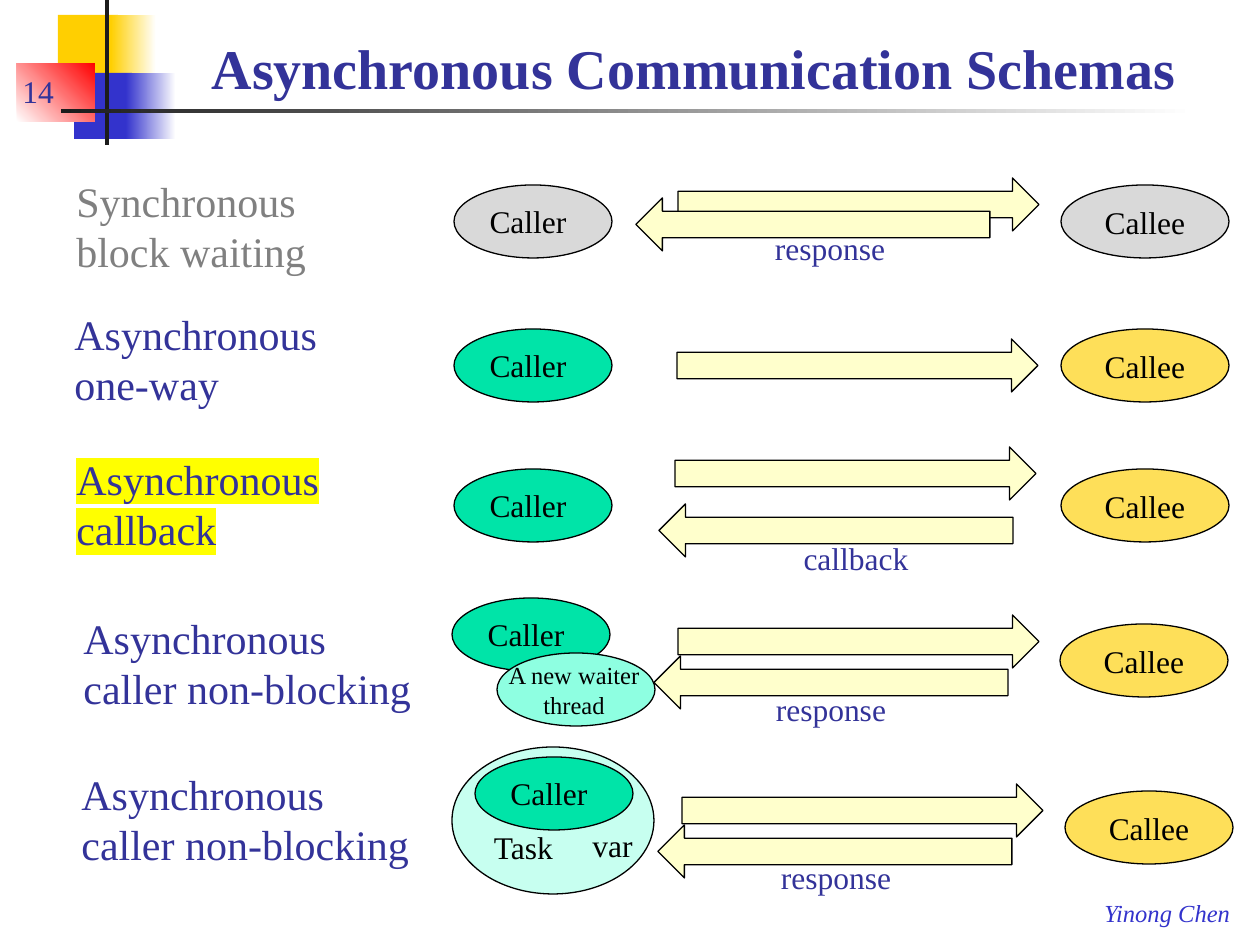
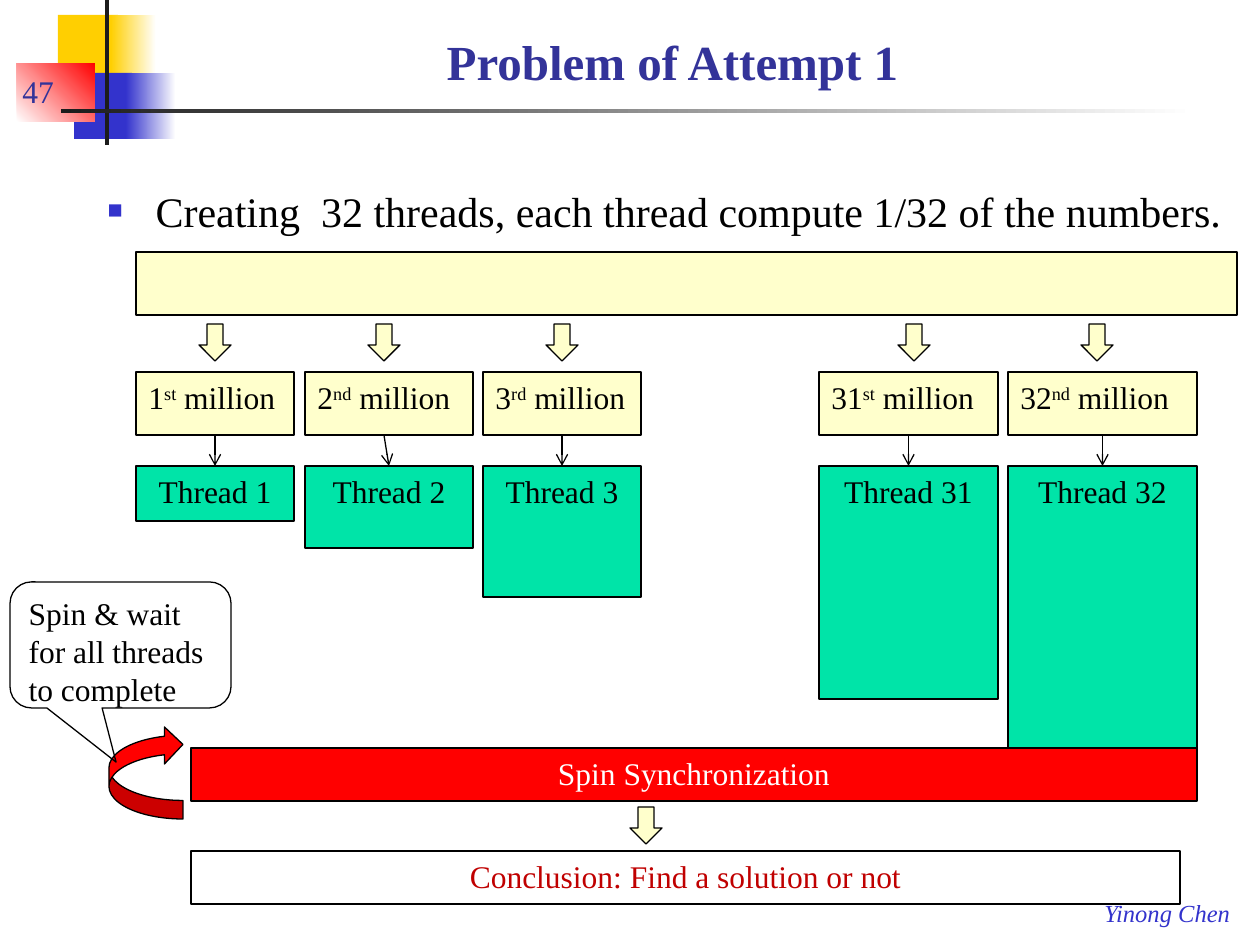
from lxml import etree
from pptx import Presentation
from pptx.dml.color import RGBColor
from pptx.enum import shapes, text
from pptx.oxml.ns import qn
from pptx.util import Emu, Pt

PX = 914400 / 126
FONT = "Times New Roman"
BLACK, WHITE, INK = "000000", "FFFFFF", "1C1C1C"
NAVY, BLUE, GOLD, RED = "333399", "3333CC", "FFCF01", "FF0000"
CREAM, GREEN, AMBER, GRAY = "FFFFCC", "00E4A8", "FEDF59", "D9D9D9"
SHAPE, ALIGN, ANCHOR = shapes.MSO_SHAPE, text.PP_ALIGN, text.MSO_ANCHOR


def px(n):
    return Emu(round(n * PX))


def rgb(color):
    return RGBColor.from_string(color)


def place(sp, box):
    sp.left, sp.top, sp.width, sp.height = map(px, box)


def write(sp, content, size=18, color=BLACK, bold=False, italic=False,
          align=ALIGN.LEFT, anchor=ANCHOR.TOP, wrap=True, highlight=None):
    """Fill a shape with one paragraph; content is a string or (text, baseline) runs."""
    tf = sp.text_frame
    tf.word_wrap, tf.auto_size, tf.vertical_anchor = wrap, text.MSO_AUTO_SIZE.NONE, anchor
    p = tf.paragraphs[0]
    p.alignment = align
    p.space_before = Pt(0)
    for words, baseline in [(content, 0)] if isinstance(content, str) else content:
        r = p.add_run()
        r.text = words
        r.font.name, r.font.size = FONT, Pt(size)
        r.font.bold, r.font.italic = bold, italic
        r.font.color.rgb = rgb(color)
        rPr = r.font._element
        if baseline:
            rPr.set("baseline", str(baseline * 1000))
        if highlight:
            mark = etree.Element(qn("a:highlight"))
            etree.SubElement(mark, qn("a:srgbClr"), val=highlight)
            rPr.find(qn("a:solidFill")).addnext(mark)
    return p


def add_text(s, box, content, **fmt):
    sp = s.shapes.add_textbox(*map(px, box))
    write(sp, content, **fmt)


def add_shape(s, kind, box, fill=None, line=BLACK, content=None, flip=None, adj=(), **fmt):
    """Add a preset shape; a pair of fill colours makes a gradient."""
    sp = s.shapes.add_shape(kind, *map(px, box))
    sp.shadow.inherit = False
    for i, value in enumerate(adj):
        sp.adjustments[i] = value
    if fill is None:
        sp.fill.background()
    elif isinstance(fill, tuple):
        sp.fill.gradient()
        sp.fill.gradient_angle = 0
        for stop, color in zip(sp.fill.gradient_stops, fill):
            stop.color.rgb = rgb(color)
    else:
        sp.fill.solid()
        sp.fill.fore_color.rgb = rgb(fill)
    if line:
        sp.line.color.rgb = rgb(line)
        sp.line.width = Pt(0.75)
    else:
        sp.line.fill.background()
    if flip:
        sp._element.spPr.get_or_add_xfrm().set("flip" + flip, "1")
    if content:
        write(sp, content, **fmt)
    return sp


def add_arrow_line(s, start, end, lead):
    """Arrow from the bottom of start to the top of end; lead shifts its start sideways."""
    c = s.shapes.add_connector(shapes.MSO_CONNECTOR.STRAIGHT,
                               start.left + start.width // 2 + px(lead),
                               start.top + start.height, end.left, end.top)
    if not lead:
        c.begin_connect(start, 2)
    c.end_connect(end, 0)
    c.line.color.rgb = rgb(BLACK)
    c.line.width = Pt(0.75)
    etree.SubElement(c.line._get_or_add_ln(), qn("a:tailEnd"), type="arrow")
    etree.SubElement(c._element.spPr, qn("a:effectLst"))


def frame(prs, layout, title, title_box, number, **fmt):
    """Start a slide with the shared ornament, footer, title and slide number."""
    s = prs.slides.add_slide(prs.slide_layouts[layout])
    ornament = [
        ((58, 15, 60, 66), GOLD), ((111, 15, 45, 66), (GOLD, WHITE)),
        ((74, 73, 58, 66), BLUE), ((126, 73, 50, 66), (BLUE, WHITE)),
        ((17, 63, 78, 59), (WHITE, RED)),
        ((105, 0, 4, 145), INK), ((61, 109, 1134, 4), (INK, WHITE)),
    ]
    for box, fill in ornament:
        sp = add_shape(s, SHAPE.RECTANGLE, box, fill, None)
        if fill == (WHITE, RED):
            sp.fill.gradient_angle = 45
    add_text(s, (1092, 892, 151, 43), "Yinong Chen", size=14, color=BLUE,
             italic=True, wrap=False)
    place(s.shapes.title, title_box)
    write(s.shapes.title, title, color=NAVY, bold=True, anchor=ANCHOR.BOTTOM, **fmt)
    add_text(s, (10, 53, 107, 63), number, color=NAVY, anchor=ANCHOR.BOTTOM)
    return s


def schema_row(s, y, label, label_at, caller_at, request_at, callee_x, reply=None,
               reply_at=None, reply_word_at=None, label_w=289, label_color=NAVY,
               caller_fill=GREEN, callee_fill=AMBER, highlight=None):
    """One scheme; y is the top of the callee and the other heights count from it."""
    def box(at, w, h):
        return at[0], y + at[1], w, h

    add_text(s, box(label_at, label_w, 115), label, size=24, color=label_color,
             highlight=highlight)
    add_shape(s, SHAPE.OVAL, box(caller_at, 158, 73), caller_fill, content="Caller")
    add_shape(s, SHAPE.RIGHT_ARROW, box(request_at, 361, 53), CREAM)
    add_shape(s, SHAPE.OVAL, box((callee_x, 0), 168, 73), callee_fill, content="Callee",
              align=ALIGN.CENTER, anchor=ANCHOR.MIDDLE)
    if reply:
        add_shape(s, SHAPE.RIGHT_ARROW, box(reply_at, 354, 53), CREAM, flip="H")
        add_text(s, box(reply_word_at, 158, 50), reply, color=NAVY, align=ALIGN.CENTER)


def schemas_slide(prs):
    s = frame(prs, 5, "Asynchronous Communication Schemas", (199, 21, 1050, 86), "14", size=32)
    schema_row(s, 185, "Synchronous block waiting", (64, -16), (454, 0), (678, -7), 1061,
               "response", (636, 13), (751, 38), label_color="808080",
               caller_fill=GRAY, callee_fill=GRAY)
    schema_row(s, 329, "Asynchronous one-way", (62, -27), (454, 0), (677, 10), 1061)
    schema_row(s, 469, "Asynchronous callback", (64, -22), (454, 0), (675, -22), 1061,
               "callback", (659, 35), (777, 64), highlight="FFFF00")
    non_blocking = "Asynchronous caller non-blocking"
    schema_row(s, 624, non_blocking, (71, -18), (452, -26), (678, -9), 1060,
               "response", (654, 32), (752, 60), label_w=360)
    add_shape(s, SHAPE.OVAL, (497, 653, 158, 73), "8EFFE1")
    add_text(s, (495, 654, 158, 72), "A new waiter thread", size=14, align=ALIGN.CENTER)
    add_shape(s, SHAPE.OVAL, (452, 747, 202, 147), "C7FFF0", content="Task",
              anchor=ANCHOR.BOTTOM)
    schema_row(s, 791, non_blocking, (69, -29), (475, -34), (682, -7), 1065,
               "response", (658, 34), (757, 61), label_w=360)
    add_text(s, (580, 820, 66, 50), "var", wrap=False)


def bullet_body(sp, box, content):
    place(sp, box)
    p = write(sp, content, size=24)
    pPr = p._p.get_or_add_pPr()
    pPr.set("marL", str(px(48)))
    pPr.set("indent", str(px(-48)))
    color = etree.SubElement(pPr, qn("a:buClr"))
    etree.SubElement(color, qn("a:srgbClr"), val=BLUE)
    etree.SubElement(pPr, qn("a:buSzPct"), val="60000")
    etree.SubElement(pPr, qn("a:buFont"), typeface=FONT)
    etree.SubElement(pPr, qn("a:buChar"), char="■")


def down_arrow(s, x, y):
    add_shape(s, SHAPE.DOWN_ARROW, (x, y, 32, 37), CREAM)


def thread_column(s, x, y, w, number, suffix, arrow_dx, thread_h, lead=0):
    """Block arrow, share of the numbers and thread, stacked from y."""
    down_arrow(s, x + arrow_dx, y)
    share = add_shape(s, SHAPE.RECTANGLE, (x, y + 48, w, 63), CREAM,
                      content=[(number, 0), (suffix, 30), (" million", 0)])
    thread = add_shape(s, SHAPE.RECTANGLE, (x, y + 142, w, thread_h), GREEN,
                       content=f"Thread {number}", align=ALIGN.CENTER)
    add_arrow_line(s, share, thread, lead)


def threads_slide(prs):
    s = frame(prs, 1, "Problem of Attempt 1", (95, 42, 1155, 55), "47", size=28,
              align=ALIGN.CENTER)
    bullet_body(s.placeholders[1], (95, 179, 1142, 168),
                "Creating  32 threads, each thread compute 1/32 of the numbers.")
    add_shape(s, SHAPE.RECTANGLE, (136, 252, 1101, 63), CREAM)
    columns = [
        (136, 158, "1", "st", 63, 55, 0),
        (305, 168, "2", "nd", 63, 82, -5),
        (483, 158, "3", "rd", 63, 131, 0),
        (819, 179, "31", "st", 79, 233, 0),
        (1008, 189, "32", "nd", 73, 321, 0),
    ]
    for x, w, *rest in columns:
        thread_column(s, x, 324, w, *rest)
    down_arrow(s, 630, 807)
    add_shape(s, SHAPE.RECTANGLE, (191, 851, 989, 53), WHITE,
              content="Conclusion: Find a solution or not", color="C00000", align=ALIGN.CENTER)
    add_shape(s, SHAPE.CURVED_RIGHT_ARROW, (109, 726, 74, 93), RED, flip="V")
    add_shape(s, SHAPE.ROUNDED_RECTANGULAR_CALLOUT, (10, 582, 221, 126),
              adj=(-0.02, 0.93, 0.17), content="Spin & wait for all threads to complete")
    add_shape(s, SHAPE.RECTANGLE, (191, 748, 1006, 53), RED,
              content="Spin Synchronization", color=WHITE, align=ALIGN.CENTER)


def main():
    prs = Presentation()
    prs.slide_width, prs.slide_height = px(1260), px(945)
    schemas_slide(prs)
    threads_slide(prs)
    prs.save("out.pptx")


if __name__ == "__main__":
    main()
